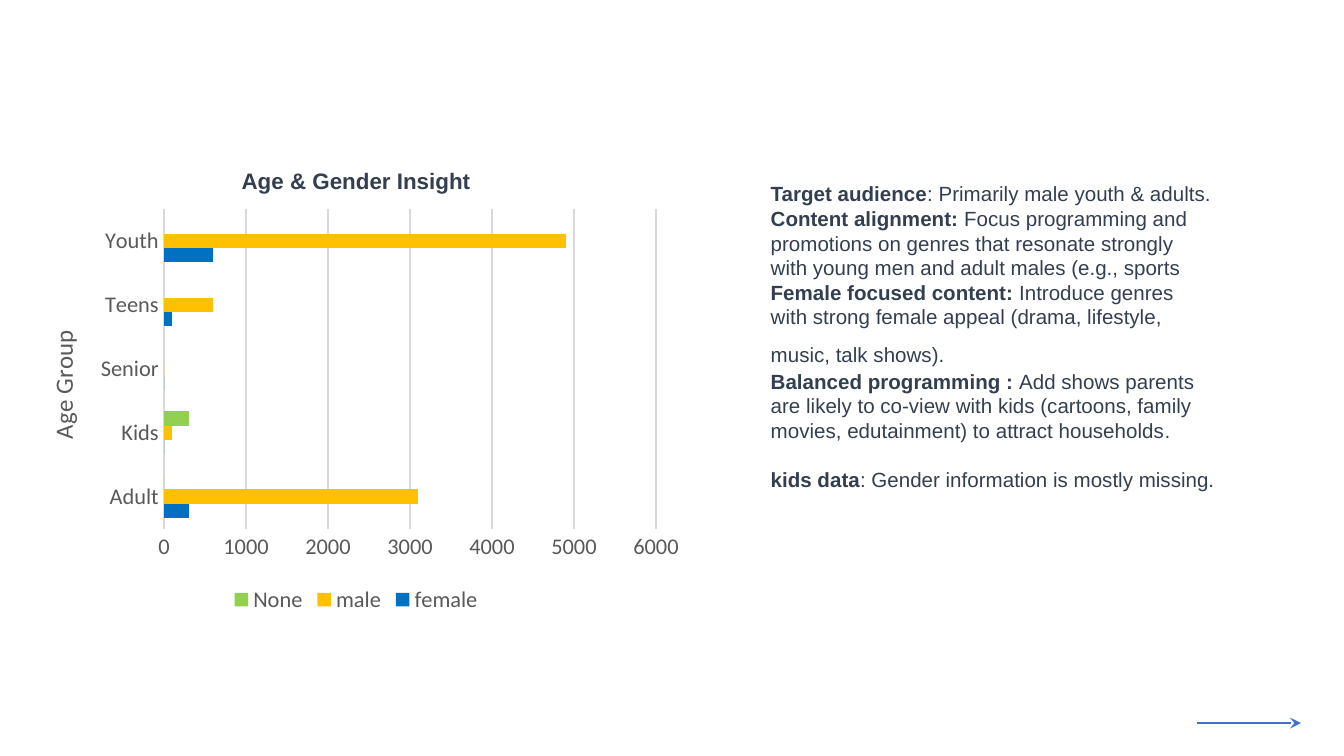
from lxml import etree
from pptx import Presentation
from pptx.chart.data import CategoryChartData
from pptx.dml.color import RGBColor
from pptx.enum.chart import XL_CHART_TYPE, XL_LEGEND_POSITION, XL_TICK_MARK
from pptx.enum.shapes import MSO_CONNECTOR
from pptx.oxml.ns import qn
from pptx.util import Pt

BAR = XL_CHART_TYPE.BAR_CLUSTERED
BOTTOM = XL_LEGEND_POSITION.BOTTOM
NO_TICK = XL_TICK_MARK.NONE
STRAIGHT = MSO_CONNECTOR.STRAIGHT

INK, GREY, GRID, BLUE, NAVY = "333F50", "595959", "D9D9D9", "4472C4", "1F4E79"

AGES = ["Adult", "Kids", "Senior", "Teens", "Youth"]
SERIES = [
    ("female", [300, 0, 0, 100, 600], "0070C0"),
    ("male", [3100, 100, 0, 600, 4900], "FFC000"),
    ("None", [0, 300, None, None, None], "92D050"),
]
PLOT = {"x": 0.215, "y": 0.133, "w": 0.73, "h": 0.677}

# (bold lead, regular text, navy end, space before, space after)
NOTES = [
    ("Target audience", ": Primarily male youth & adults.", "", 0, 0),
    ("Content alignment:", " Focus programming and", "", 0, 0),
    ("", "promotions on genres that resonate strongly", "", 0, 0),
    ("", "with young men and adult males (e.g., sports", "", 0, 0),
    ("Female focused content:", " Introduce genres", "", 0, 0),
    ("", "with strong female appeal (drama, lifestyle,", "", 0, 0),
    ("", "music, talk shows).", "", 7, 1),
    ("Balanced programming : ", "Add shows parents", "", 0, 0),
    ("", "are likely to co-view with kids (cartoons, family", "", 0, 0),
    ("", "movies, edutainment) to attract households", ".", 0, 0),
    ("kids data", ": Gender information is mostly missing.", "", 13, 0),
]


def rgb(value):
    return RGBColor.from_string(value)


def set_font(font, name, size, color, bold=False):
    font.name, font.size, font.bold = name, Pt(size), bold
    font.color.rgb = rgb(color)


def add_title(owner, text, *style):
    p = owner.text_frame.paragraphs[0]
    p.text = text
    set_font(p.font, *style)


def add_age_chart(s):
    data = CategoryChartData()
    data.categories = AGES
    for name, values, _ in SERIES:
        data.add_series(name, values)
    chart = s.shapes.add_chart(BAR, Pt(10.3), Pt(78.3), Pt(361), Pt(253), data).chart
    set_font(chart.font, "Calibri", 12, GREY)
    chart.has_title = True
    add_title(chart.chart_title, "Age & Gender Insight", "Arial", 12, INK, True)
    chart.has_legend = True
    chart.legend.position = BOTTOM
    chart.legend.include_in_layout = False
    set_font(chart.legend.font, "Calibri", 12, GREY)

    plot = chart.plots[0]
    plot.gap_width, plot.overlap, plot.vary_by_categories = 150, 0, False
    for series, (_, _, color) in zip(plot.series, SERIES):
        series.format.fill.solid()
        series.format.fill.fore_color.rgb = rgb(color)

    ages, counts = chart.category_axis, chart.value_axis
    for axis in (ages, counts):
        axis.major_tick_mark = axis.minor_tick_mark = NO_TICK
        axis.format.line.fill.background()
        set_font(axis.tick_labels.font, "Calibri", 12, GREY)
    add_title(ages.axis_title, "Age Group", "Calibri", 13.3, GREY)
    counts.minimum_scale, counts.maximum_scale, counts.major_unit = 0, 6000, 1000
    counts.major_gridlines.format.line.color.rgb = rgb(GRID)
    counts.major_gridlines.format.line.width = Pt(0.75)

    area = chart.element.find(".//" + qn("c:plotArea"))
    for old in area.findall(qn("c:layout")):
        area.remove(old)
    layout = etree.Element(qn("c:layout"))
    manual = etree.SubElement(layout, qn("c:manualLayout"))
    settings = [("layoutTarget", "inner"), ("xMode", "edge"), ("yMode", "edge")]
    for tag, value in settings + list(PLOT.items()):
        etree.SubElement(manual, qn("c:" + tag)).set("val", str(value))
    area.insert(0, layout)


def add_notes(s):
    tf = s.shapes.add_textbox(Pt(405.8), Pt(89.9), Pt(280), Pt(191.5)).text_frame
    tf.word_wrap = True
    tf.margin_left = tf.margin_top = tf.margin_right = tf.margin_bottom = Pt(7.2)
    for i, (lead, text, end, before, after) in enumerate(NOTES):
        p = tf.paragraphs[0] if i == 0 else tf.add_paragraph()
        p.space_before, p.space_after = Pt(before), Pt(after)
        set_font(p.font, "Arial", 11, INK)
        if lead:
            r = p.add_run()
            r.text, r.font.bold = lead, True
        p.add_run().text = text
        if end:
            r = p.add_run()
            r.text, r.font.color.rgb = end, rgb(NAVY)


def add_arrow(s):
    arrow = s.shapes.add_connector(STRAIGHT, Pt(641), Pt(387.4), Pt(697), Pt(387.4))
    arrow.line.color.rgb = rgb(BLUE)
    arrow.line.width = Pt(1.5)
    etree.SubElement(arrow.line._get_or_add_ln(), qn("a:tailEnd")).set("type", "stealth")
    etree.SubElement(arrow._element.spPr, qn("a:effectLst"))


def main():
    prs = Presentation()
    prs.slide_width, prs.slide_height = Pt(720), Pt(405)
    s = prs.slides.add_slide(prs.slide_layouts[6])
    add_age_chart(s)
    add_notes(s)
    add_arrow(s)
    prs.save("out.pptx")


if __name__ == "__main__":
    main()
